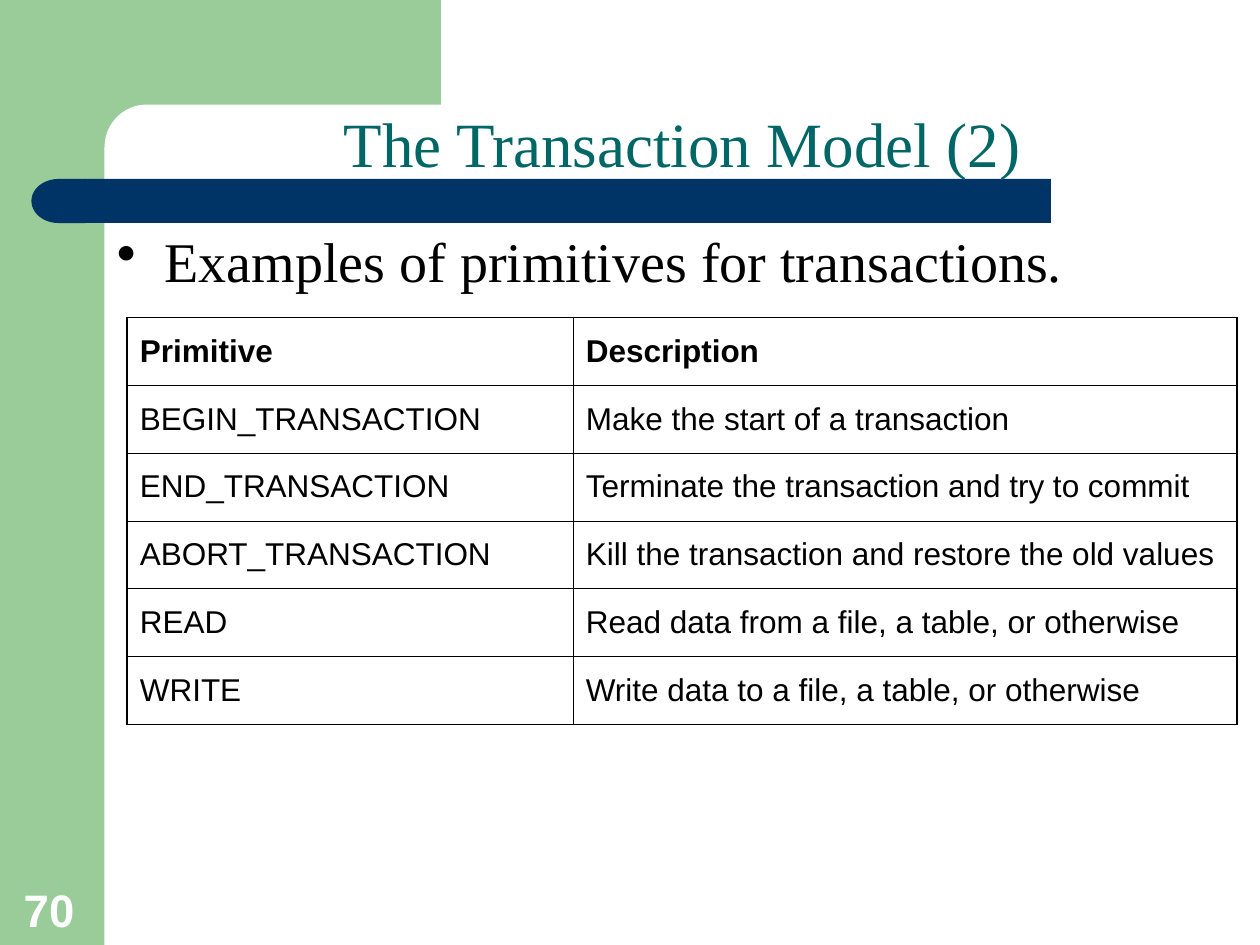
from pptx import Presentation
from pptx.dml.color import RGBColor
from pptx.enum.shapes import MSO_SHAPE
from pptx.enum.text import MSO_ANCHOR, PP_ALIGN
from pptx.oxml import parse_xml
from pptx.oxml.ns import nsdecls
from pptx.util import Inches, Pt

RECT, ROUND = MSO_SHAPE.RECTANGLE, MSO_SHAPE.ROUNDED_RECTANGLE
DELAY = MSO_SHAPE.FLOWCHART_DELAY
TOP, MIDDLE, BOTTOM = MSO_ANCHOR.TOP, MSO_ANCHOR.MIDDLE, MSO_ANCHOR.BOTTOM
GREEN, NAVY, TEAL, WHITE, BLACK = "99CC99", "003366", "006666", "FFFFFF", "000000"
SERIF, SANS = "Times New Roman", "Arial"


def color(code):
    return RGBColor.from_string(code)


def write(frame, text, size, face, code, bold=False):
    para = frame.paragraphs[0]
    para.text = text
    font = para.font
    font.size, font.name, font.bold = Pt(size), face, bold
    font.color.rgb = color(code)
    return para


prs = Presentation()
prs.slide_width, prs.slide_height = Inches(10), Inches(7.5)
slide = prs.slides.add_slide(prs.slide_layouts[6])
shapes = slide.shapes

# Green frame, rounded white corner and navy bar
for kind, box, fill, round_by in [
    (RECT, (0, 0, 0.83, 7.5), GREEN, None),
    (RECT, (0.75, 0, 2.75, 1.17), GREEN, None),
    (ROUND, (0.83, 0.83, 3.42, 0.67), WHITE, 0.5),
    (RECT, (0.67, 1.42, 7.67, 0.35), NAVY, None),
    (DELAY, (0.25, 1.42, 0.43, 0.35), NAVY, None),
]:
    part = shapes.add_shape(kind, *map(Inches, box))
    part.shadow.inherit = False
    part.fill.solid()
    part.fill.fore_color.rgb = color(fill)
    part.line.fill.background()
    if round_by is not None:
        part.adjustments[0] = round_by
    if kind == DELAY:
        part._element.spPr.xfrm.set("flipH", "1")

# Page number, title and bullet text
paras = []
for text, box, size, face, code, bold, anchor in [
    ("70", (0.09, 6.94, 0.64, 0.54), 26, SANS, WHITE, True, BOTTOM),
    ("The Transaction Model (2)", (0.83, 0.81, 9.17, 0.67), 36, SERIF, TEAL, False, BOTTOM),
    ("Examples of primitives for transactions.", (0.83, 1.75, 9.17, 5.67),
     32, SERIF, BLACK, False, TOP),
]:
    frame = shapes.add_textbox(*map(Inches, box)).text_frame
    frame.word_wrap = True
    frame.vertical_anchor = anchor
    paras.append(write(frame, text, size, face, code, bold))

number, title, point = paras
title.alignment = PP_ALIGN.CENTER
point.space_before = Pt(8)
props = point._p.get_or_add_pPr()
props.set("marL", str(Inches(0.38)))
props.set("indent", str(Inches(-0.38)))
props.append(parse_xml(f'<a:buChar {nsdecls("a")} char="•"/>'))

# Table of primitives
rows = [
    ("Primitive", "Description"),
    ("BEGIN_TRANSACTION", "Make the start of a transaction"),
    ("END_TRANSACTION", "Terminate the transaction and try to commit"),
    ("ABORT_TRANSACTION", "Kill the transaction and restore the old values"),
    ("READ", "Read data from a file, a table, or otherwise"),
    ("WRITE", "Write data to a file, a table, or otherwise"),
]
last = len(rows) - 1
table = shapes.add_table(len(rows), 2, Inches(1.01), Inches(2.52),
                         Inches(8.81), Inches(3.23)).table
table.first_row = table.horz_banding = False
for col, width in zip(table.columns, (3.54, 5.27)):
    col.width = Inches(width)

for r, row in enumerate(rows):
    for c, text in enumerate(row):
        cell = table.cell(r, c)
        cell.vertical_anchor = MIDDLE
        cell.fill.background()
        para = write(cell.text_frame, text, 18, SANS, BLACK, r == 0)
        para.space_before = Pt(4.5)
        # Heavier lines round the outside; borders go before the fill
        outer = {"L": c == 0, "R": c == 1, "T": r == 0, "B": r == last}
        for spot, (side, heavy) in enumerate(outer.items()):
            width = Pt(1.08 if heavy else 0.45)
            cell._tc.get_or_add_tcPr().insert(spot, parse_xml(
                f'<a:ln{side} {nsdecls("a")} w="{width}"><a:solidFill>'
                f'<a:srgbClr val="{BLACK}"/></a:solidFill></a:ln{side}>'))

prs.save("out.pptx")
